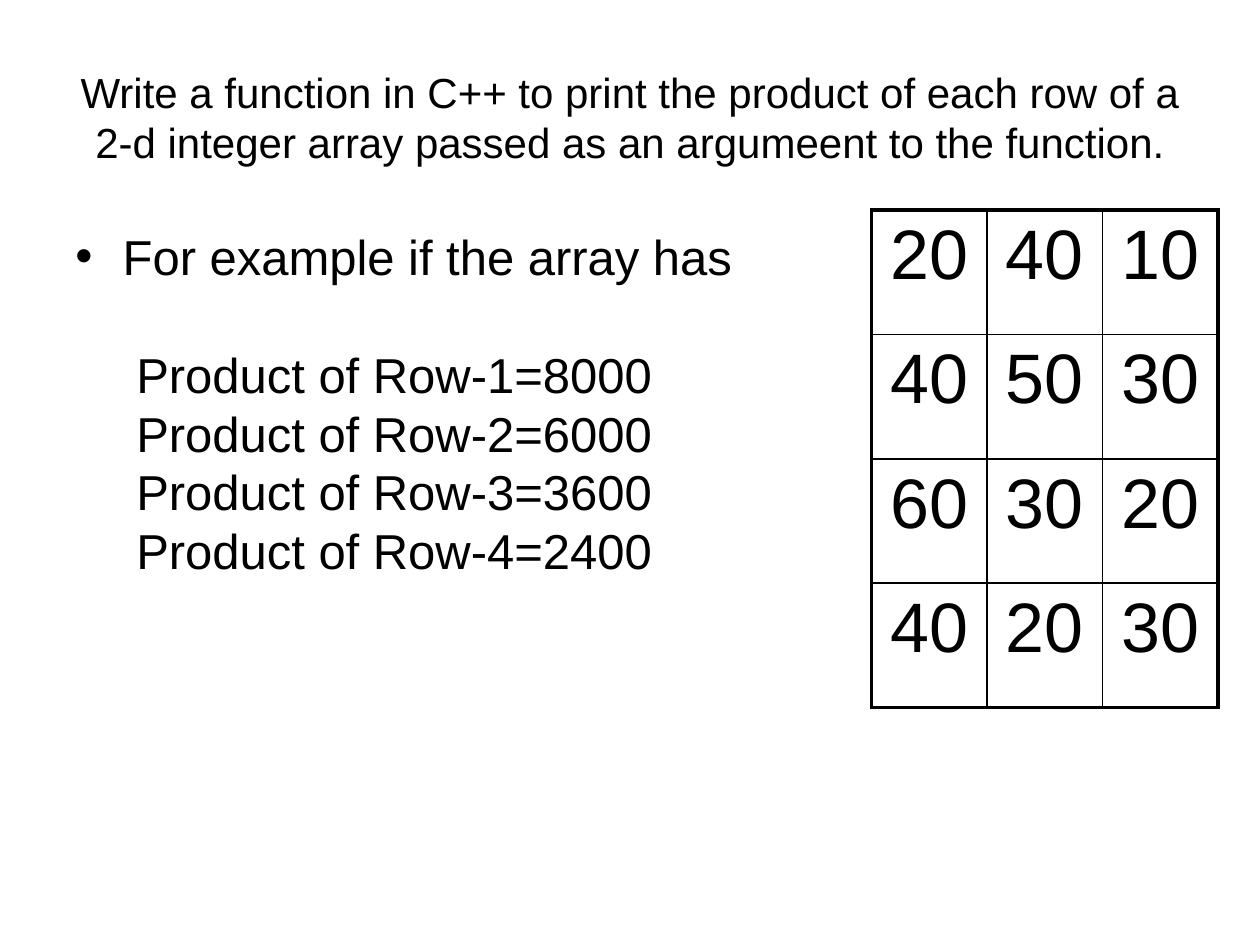
"""Build a slide on row products of a two-dimensional array."""
from dataclasses import dataclass

from lxml.etree import SubElement as Sub
from pptx import Presentation as Deck
from pptx.dml.color import RGBColor
from pptx.enum.text import MSO_ANCHOR as Anchor, MSO_AUTO_SIZE as Auto, PP_ALIGN as Align
from pptx.oxml.ns import qn
from pptx.util import Pt

BLACK = RGBColor(0, 0, 0)
FONT = "Arial"
THICK, THIN = 2.25, 1
GRID = ((20, 40, 10), (40, 50, 30), (60, 30, 20), (40, 20, 30))
SUMS = (8000, 6000, 3600, 2400)


@dataclass(frozen=True)
class Box:
    """Hold a place on the slide in points."""
    left: float
    top: float
    width: float
    height: float

    def span(self) -> tuple:
        """Return the four lengths."""
        return Pt(self.left), Pt(self.top), Pt(self.width), Pt(self.height)


HEAD = Box(36, 21.6, 648, 90)
BODY = Box(36, 126, 408, 356.4)
TABLE = Box(498, 120, 198, 284.4)


def put(para, text: str, *, size: float, align=Align.LEFT, lead=None,
        before: float = 0, left: float = 0, hang: float = 0, mark: str = "") -> None:
    """Write one formatted paragraph."""
    run = para.add_run()
    run.text = text
    run.font.name, run.font.size = FONT, Pt(size)
    run.font.color.rgb = BLACK
    para.alignment, para.space_before = align, Pt(before)
    if lead:
        para.line_spacing = Pt(lead)
    props = para._p.get_or_add_pPr()
    props.set("marL", str(Pt(left)))
    props.set("indent", str(Pt(-hang)))
    if mark:
        Sub(props, qn("a:buFont"), typeface=FONT)
        Sub(props, qn("a:buChar"), char=mark)
    else:
        Sub(props, qn("a:buNone"))


def edge(cell, sides: dict) -> None:
    """Draw the borders of a cell, given the width of each side."""
    props = cell._tc.get_or_add_tcPr()
    for spot, (side, width) in enumerate(sides.items()):
        line = Sub(props, qn(f"a:ln{side}"), w=str(Pt(width)))
        fill = Sub(line, qn("a:solidFill"))
        Sub(fill, qn("a:srgbClr"), val=str(BLACK))
        props.insert(spot, line)


def title(slide) -> None:
    """Fill the title."""
    shape = slide.shapes.title
    shape.left, shape.top, shape.width, shape.height = HEAD.span()
    frame = shape.text_frame
    frame.auto_size, frame.word_wrap = Auto.NONE, True
    frame.vertical_anchor = Anchor.MIDDLE
    put(frame.paragraphs[0], "Write a function in C++ to print the product of each row of a "
        "2-d integer array passed as an argumeent to the function.",
        size=24, align=Align.CENTER, lead=28.8)


def body(slide) -> None:
    """Add the example and its results."""
    frame = slide.shapes.add_textbox(*BODY.span()).text_frame
    frame.word_wrap = True
    put(frame.paragraphs[0], "For example if the array has", size=28, lead=33.6,
        before=2, left=27, hang=27, mark="•")
    for row, value in enumerate(SUMS, 1):
        put(frame.add_paragraph(), f"Product of Row-{row}={value}", size=28,
            lead=33.6, before=33.6 if row == 1 else 0, left=34.8)


def table(slide) -> None:
    """Add the array as a table."""
    rows, cols = len(GRID), len(GRID[0])
    grid = slide.shapes.add_table(rows, cols, *TABLE.span()).table
    grid.first_row = grid.horz_banding = False
    for col in grid.columns:
        col.width = Pt(TABLE.width / cols)
    for r, line in enumerate(GRID):
        grid.rows[r].height = Pt(TABLE.height / rows)
        for c, value in enumerate(line):
            cell = grid.cell(r, c)
            cell.fill.background()
            put(cell.text_frame.paragraphs[0], str(value), size=40, align=Align.CENTER)
            rims = {"L": c == 0, "R": c == cols - 1, "T": r == 0, "B": r == rows - 1}
            edge(cell, {side: THICK if rim else THIN for side, rim in rims.items()})


def main() -> None:
    """Make the deck and save it."""
    deck = Deck()
    deck.slide_width, deck.slide_height = Pt(720), Pt(540)
    slide = deck.slides.add_slide(deck.slide_layouts[5])
    title(slide)
    body(slide)
    table(slide)
    deck.save("out.pptx")


if __name__ == "__main__":
    main()
